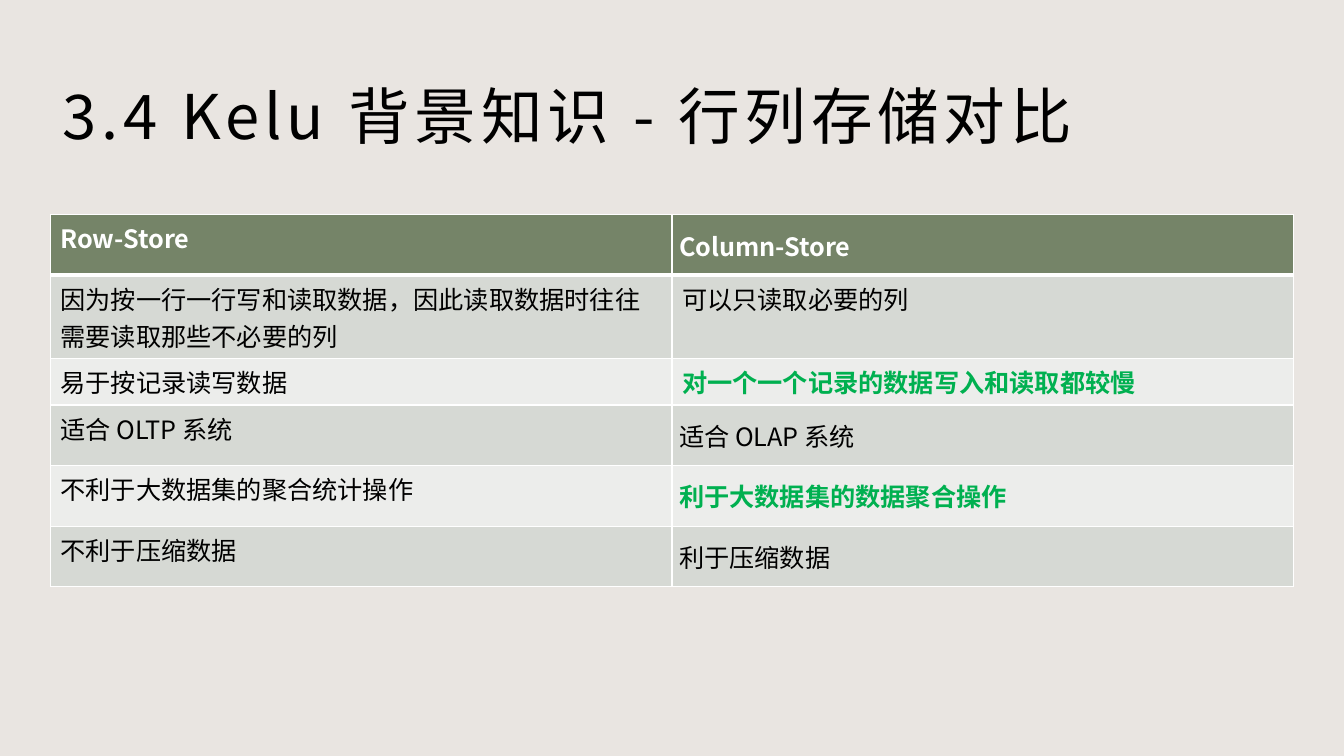
from lxml import etree
from pptx import Presentation
from pptx.dml.color import RGBColor
from pptx.enum.text import MSO_ANCHOR, PP_ALIGN
from pptx.oxml.ns import qn
from pptx.util import Inches, Pt

FONT = "Noto Sans CJK SC"
COLORS = {
    "background": "E9E5E1",
    "text": "000000",
    "white": "FFFFFF",
    "header": "758468",
    "band_dark": "D6D9D4",
    "band_light": "ECEDEB",
    "highlight": "00B050",
}
COMPARISON = [
    ("Row-Store", "Column-Store"),
    ("因为按一行一行写和读取数据，因此读取数据时往往需要读取那些不必要的列", "可以只读取必要的列"),
    ("易于按记录读写数据", "对一个一个记录的数据写入和读取都较慢"),
    ("适合 OLTP 系统", "适合 OLAP 系统"),
    ("不利于大数据集的聚合统计操作", "利于大数据集的数据聚合操作"),
    ("不利于压缩数据", "利于压缩数据"),
]
HIGHLIGHTED = {(2, 1), (4, 1)}
ROOMY_ROWS = {0, 3, 4, 5}


def color(name):
    return RGBColor.from_string(COLORS[name])


def add_run(paragraph, text, size, color_name, bold=False):
    run = paragraph.add_run()
    run.text = text
    run.font.size = Pt(size)
    run.font.bold = bold
    run.font.name = FONT
    run.font.color.rgb = color(color_name)
    properties = run.font._element
    etree.SubElement(properties, qn("a:ea")).set("typeface", FONT)
    return properties


def set_border(cell, side, width):
    line = etree.SubElement(cell._tc.get_or_add_tcPr(), qn(f"a:ln{side}"), w=str(Pt(width)))
    fill = etree.SubElement(line, qn("a:solidFill"))
    etree.SubElement(fill, qn("a:srgbClr"), val=COLORS["white"])


def add_title(slide, text):
    title = slide.shapes.title
    title.left, title.top = Inches(0.5), Inches(0.4)
    title.width, title.height = Inches(11.92), Inches(1.45)
    frame = title.text_frame
    frame.word_wrap = True
    frame.vertical_anchor = MSO_ANCHOR.MIDDLE
    frame.margin_left = frame.margin_right = frame.margin_top = Inches(0.12)
    frame.margin_bottom = Inches(0.1)
    paragraph = frame.paragraphs[0]
    paragraph.alignment = PP_ALIGN.LEFT
    add_run(paragraph, text, 44, "text").set("spc", "350")


def format_cell(cell, text, row, column):
    for side in "LRTB":
        header_edge = (row, side) in {(0, "B"), (1, "T")}
        set_border(cell, side, 3 if header_edge else 1)
    if row == 0:
        fill, text_color = "header", "white"
    else:
        fill, text_color = ("band_dark" if row % 2 else "band_light"), "text"
    highlighted = (row, column) in HIGHLIGHTED
    if highlighted:
        text_color = "highlight"
    cell.fill.solid()
    cell.fill.fore_color.rgb = color(fill)
    if column == 1 and row in ROOMY_ROWS:
        cell.vertical_anchor = MSO_ANCHOR.MIDDLE
        cell.margin_left = cell.margin_right = Inches(0.07)
        cell.margin_top = cell.margin_bottom = Inches(0.12)
    add_run(cell.text_frame.paragraphs[0], text, 18, text_color, row == 0 or highlighted)


def add_comparison_table(slide):
    row_height = Inches(0.41)
    frame = slide.shapes.add_table(
        len(COMPARISON), 2, Inches(0.5), Inches(2.13),
        Inches(12.33), row_height * len(COMPARISON))
    table = frame.table
    table.horz_banding = False
    for row, texts in enumerate(COMPARISON):
        table.rows[row].height = row_height
        for column, text in enumerate(texts):
            format_cell(table.cell(row, column), text, row, column)


def main():
    presentation = Presentation()
    presentation.slide_width, presentation.slide_height = Inches(13.33), Inches(7.5)
    slide = presentation.slides.add_slide(presentation.slide_layouts[5])
    slide.background.fill.solid()
    slide.background.fill.fore_color.rgb = color("background")
    add_title(slide, "3.4 Kelu 背景知识 - 行列存储对比")
    add_comparison_table(slide)
    presentation.save("out.pptx")


main()
